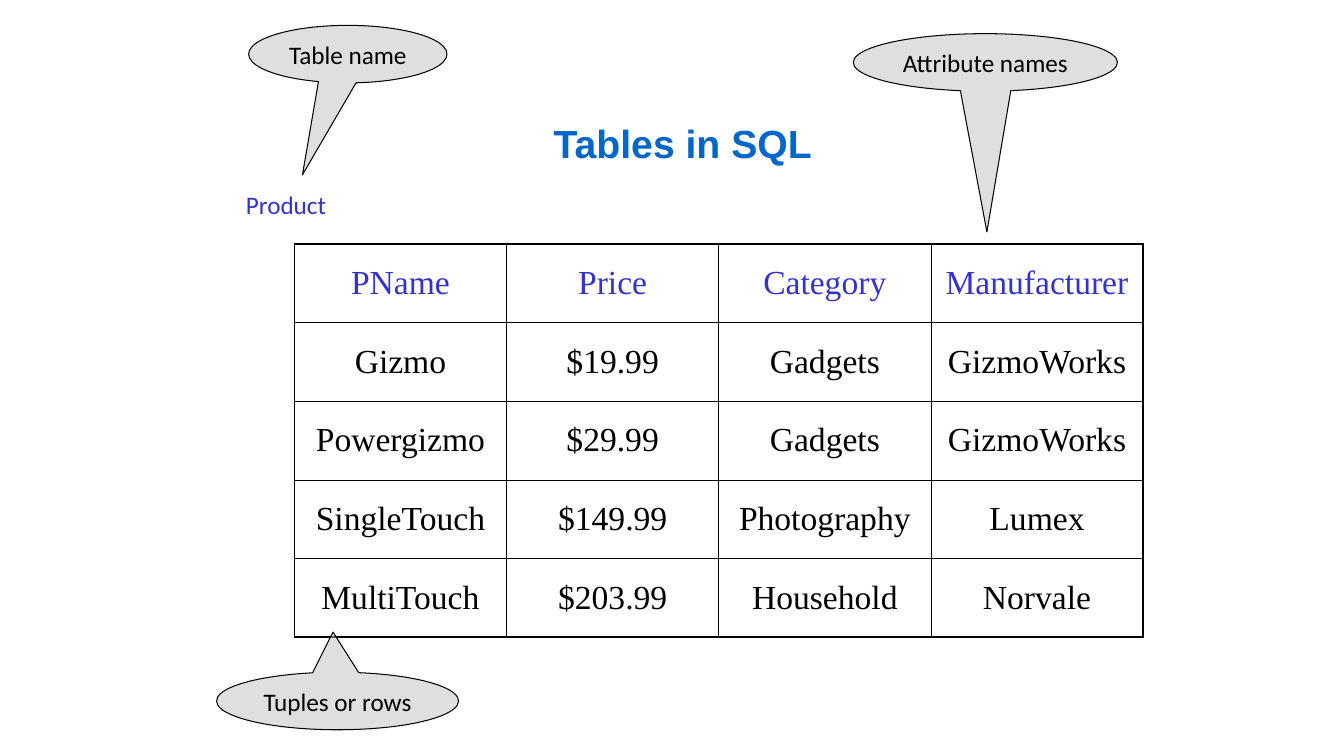
from lxml.etree import SubElement
from pptx import Presentation
from pptx.dml.color import RGBColor
from pptx.enum.shapes import MSO_SHAPE as Shape
from pptx.enum.text import MSO_ANCHOR as Anchor, MSO_AUTO_SIZE as Fit, PP_ALIGN as Align
from pptx.oxml.ns import qn
from pptx.util import Cm, Pt

TITLE = "Tables in SQL"
NAME = "Product"
ROWS = [
    ("PName", "Price", "Category", "Manufacturer"),
    ("Gizmo", "$19.99", "Gadgets", "GizmoWorks"),
    ("Powergizmo", "$29.99", "Gadgets", "GizmoWorks"),
    ("SingleTouch", "$149.99", "Photography", "Lumex"),
    ("MultiTouch", "$203.99", "Household", "Norvale"),
]
# text, left, top, width, tip offset across and down
CALLOUTS = [
    ("Attribute names", 21.51, 0.85, 6.66, 0.006, 2.946),
    ("Table name", 6.27, 0.64, 5.0, -0.229, 2.098),
    ("Tuples or rows", 5.46, 16.94, 6.1, -0.019, -1.199),
]
CALL_H = 1.45
COL_W, ROW_H = 5.35, 1.98
BLACK, BLUE, TITLE_BLUE, GREY = "000000", "3333CC", "0066CC", "C0C0C0"
THIN, THICK = 0.45, 1.08


def rgb(code):
    return RGBColor.from_string(code)


def write(frame, text, size, face, color, align=Align.CENTER, bold=False):
    frame.text = text
    frame.vertical_anchor = Anchor.MIDDLE
    para = frame.paragraphs[0]
    para.alignment = align
    font = para.runs[0].font
    font.size, font.name, font.bold = Pt(size), face, bold
    font.color.rgb = rgb(color)


def border(cell, widths):
    """Draw the left, right, top and bottom edges in that order."""
    props = cell._tc.get_or_add_tcPr()
    for side, width in zip("LRTB", widths):
        line = SubElement(props, qn("a:ln" + side), w=str(Pt(width)))
        fill = SubElement(line, qn("a:solidFill"))
        SubElement(fill, qn("a:srgbClr"), val=BLACK)


def add_grid(slide):
    rows, cols = len(ROWS), len(ROWS[0])
    table = slide.shapes.add_table(rows, cols, Cm(7.42), Cm(6.15),
                                   Cm(COL_W * cols), Cm(ROW_H * rows)).table
    table.horz_banding = table.first_row = False
    for col in table.columns:
        col.width = Cm(COL_W)
    for r, values in enumerate(ROWS):
        table.rows[r].height = Cm(ROW_H)
        for c, value in enumerate(values):
            cell = table.cell(r, c)
            write(cell.text_frame, value, 24, "Times New Roman", BLACK if r else BLUE)
            cell.vertical_anchor = Anchor.MIDDLE
            heavy = (c == 0, c == cols - 1, r < 2, r in (0, rows - 1))
            border(cell, [THICK if edge else THIN for edge in heavy])
            cell.fill.background()


def add_callout(slide, text, left, top, width, across, down):
    shape = slide.shapes.add_shape(Shape.OVAL_CALLOUT, Cm(left), Cm(top),
                                   Cm(width), Cm(CALL_H))
    shape.adjustments[0], shape.adjustments[1] = across, down
    shape.shadow.inherit = False
    shape.fill.solid()
    shape.fill.fore_color.rgb = rgb(GREY)
    tint = shape._element.spPr.find(qn("a:solidFill"))[0]
    SubElement(tint, qn("a:alpha"), val="50000")
    shape.line.color.rgb = rgb(BLACK)
    shape.line.width = Pt(0.75)
    shape.text_frame.word_wrap = False
    write(shape.text_frame, text, 18, "Calibri", BLACK)


def main():
    deck = Presentation()
    deck.slide_width, deck.slide_height = Cm(33.88), Cm(19.05)
    slide = deck.slides.add_slide(deck.slide_layouts[5])

    title = slide.shapes.title
    title.left, title.top, title.width, title.height = Cm(2.82), Cm(2.97), Cm(28.78), Cm(1.27)
    title.text_frame.auto_size = Fit.NONE
    write(title.text_frame, TITLE, 28, "Arial", TITLE_BLUE, bold=True)

    add_grid(slide)
    label = slide.shapes.add_textbox(Cm(5.95), Cm(4.65), Cm(2.55), Cm(1.02))
    label.text_frame.word_wrap = False
    write(label.text_frame, NAME, 18, "Calibri", BLUE, Align.LEFT)
    for item in CALLOUTS:
        add_callout(slide, *item)
    deck.save("out.pptx")


if __name__ == "__main__":
    main()
